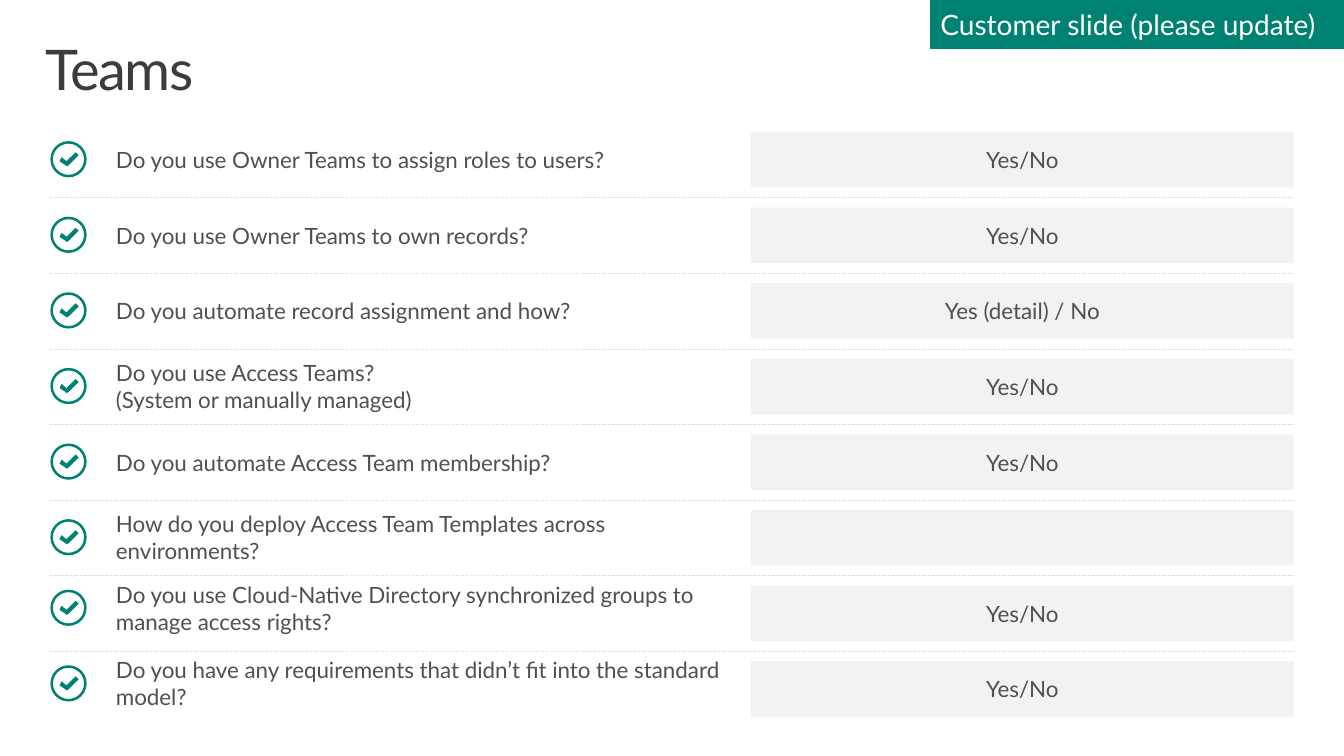
from lxml.etree import SubElement
from pptx import Presentation
from pptx.dml.color import RGBColor
from pptx.enum.dml import MSO_LINE as Dash
from pptx.enum.shapes import MSO_CONNECTOR as Link, MSO_SHAPE as Shape
from pptx.enum.text import MSO_ANCHOR as Anchor, MSO_AUTO_SIZE as Fit, PP_ALIGN as Align
from pptx.oxml.ns import qn
from pptx.util import Pt

PX = 9144
TEAL = "008272"
GRAY = "505050"


def paint(fill, tone):
    fill.solid()
    fill.fore_color.rgb = RGBColor.from_string(tone)


def write(frame, text, size, tone, align=Align.LEFT):
    frame.word_wrap = True
    frame.vertical_anchor = Anchor.MIDDLE
    for i, line in enumerate(text.split("\n")):
        para = frame.paragraphs[0] if i == 0 else frame.add_paragraph()
        para.alignment = align
        run = para.add_run()
        run.text = line
        run.font.name = "Lato"
        run.font.size = Pt(size)
        paint(run.font.fill, tone)


deck = Presentation()
deck.slide_width = 1333 * PX
deck.slide_height = 750 * PX
slide = deck.slides.add_slide(deck.slide_layouts[6])
shapes = slide.shapes

title = shapes.add_textbox(29 * PX, 32 * PX, 1275 * PX, 98 * PX).text_frame
write(title, "Teams", 40, "3C3C3C")
title.vertical_anchor = Anchor.TOP
title.margin_left = title.margin_right = 16 * PX
title.margin_top = title.margin_bottom = 10 * PX
head = title.paragraphs[0]
head.line_spacing = 0.9
head.runs[0].font._element.set("spc", "-100")

rows = [
    ("Do you use Owner Teams to assign roles to users?", "Yes/No", 37, 0),
    ("Do you use Owner Teams to own records?", "Yes/No", 37, 0),
    ("Do you automate record assignment and how?", "Yes (detail) / No", 37, 0),
    ("Do you use Access Teams?\n(System or manually managed)", "Yes/No", 64, 0),
    ("Do you automate Access Team membership?", "Yes/No", 37, 0),
    ("How do you deploy Access Team Templates across environments?", "", 64, 0),
    ("Do you use Cloud-Native Directory synchronized groups to manage access rights?",
     "Yes/No", 64, 5),
    ("Do you have any requirements that didn’t fit into the standard model?",
     "Yes/No", 64, 5),
]
tick = [(16, 0), (7, 9), (2, 5), (0, 9), (6, 13), (7, 14), (9, 13), (19, 3)]

for i, (ask, reply, high, lift) in enumerate(rows):
    top = 131 + 75 * i
    mid = top + 27 - lift

    if i < len(rows) - 1:
        y = (top + 65) * PX
        rule = shapes.add_connector(Link.STRAIGHT, 50 * PX, y, 1283 * PX, y)
        paint(rule.line.fill, "D9D9D9")
        rule.line.width = Pt(0.25)
        rule.line.dash_style = Dash.DASH
        SubElement(rule._element.spPr, qn("a:effectLst"))

    group = shapes.add_group_shape().shapes
    box = group.add_textbox(55 * PX, (mid - high // 2) * PX, 675 * PX, high * PX)
    frame = box.text_frame
    write(frame, ask, 16, GRAY)
    frame.auto_size = Fit.SHAPE_TO_FIT_TEXT
    frame.margin_left = 60 * PX
    frame.margin_right = 10 * PX
    frame.margin_top = frame.margin_bottom = 5 * PX

    ring = group.add_shape(Shape.DONUT, 50 * PX, (mid - 18) * PX, 36 * PX, 36 * PX)
    ring.adjustments[0] = 0.07
    pen = group.build_freeform(*tick[0], scale=PX)
    pen.add_line_segments(tick[1:], close=True)
    check = pen.convert_to_shape(59 * PX, (mid - 7) * PX)
    for mark in (ring, check):
        paint(mark.fill, TEAL)
        mark.line.fill.background()
        mark.shadow.inherit = False

    bar = shapes.add_shape(Shape.RECTANGLE, 745 * PX, top * PX, 538 * PX, 55 * PX)
    paint(bar.fill, "F2F2F2")
    bar.line.fill.background()
    bar.shadow.inherit = False
    if reply:
        write(bar.text_frame, reply, 16, GRAY, Align.CENTER)

flag = shapes.add_shape(Shape.RECTANGLE, 923 * PX, 0, 410 * PX, 48 * PX)
paint(flag.fill, TEAL)
paint(flag.line.fill, TEAL)
flag.line.width = Pt(0.25)
flag.shadow.inherit = False
write(flag.text_frame, "Customer slide (please update)", 20, "FFFFFF")

deck.save("out.pptx")
